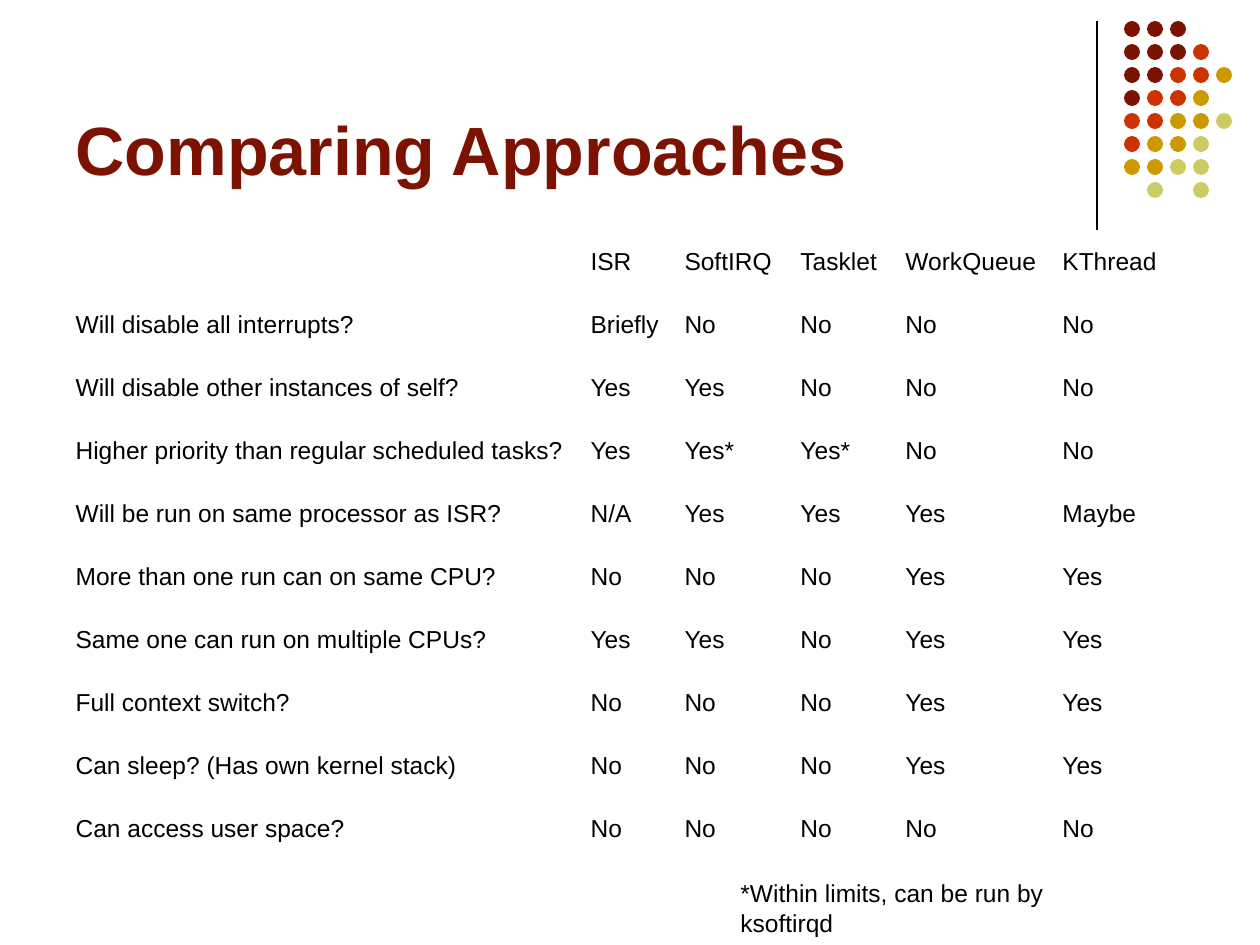
from lxml.etree import SubElement
from pptx import Presentation
from pptx.dml.color import RGBColor
from pptx.enum.shapes import MSO_CONNECTOR as CONN, MSO_SHAPE as SHAPE
from pptx.enum.text import MSO_ANCHOR as ANCHOR, MSO_AUTO_SIZE as FIT, PP_ALIGN as ALIGN
from pptx.oxml.ns import qn
from pptx.util import Pt

PX = 914400 / 126
BLACK = RGBColor(0x00, 0x00, 0x00)
MAROON = RGBColor(0x7C, 0x13, 0x02)
RED = RGBColor(0xCC, 0x33, 0x00)
GOLD = RGBColor(0xCC, 0x99, 0x00)
OLIVE = RGBColor(0xCC, 0xCC, 0x66)

DOT_COLORS = {"M": MAROON, "R": RED, "G": GOLD, "O": OLIVE}
DOT_ROWS = ["MMM", "MMMR", "MMRRG", "MRRG", "RRGGO", "RGGO", "GGOO", " O O"]

COL_WIDTHS = [515, 94, 116, 105, 157, 126]
ROWS = [
    ["", "ISR", "SoftIRQ", "Tasklet", "WorkQueue", "KThread"],
    ["Will disable all interrupts?", "Briefly", "No", "No", "No", "No"],
    ["Will disable other instances of self?", "Yes", "Yes", "No", "No", "No"],
    ["Higher priority than regular scheduled tasks?", "Yes", "Yes*", "Yes*", "No", "No"],
    ["Will be run on same processor as ISR?", "N/A", "Yes", "Yes", "Yes", "Maybe"],
    ["More than one run can on same CPU?", "No", "No", "No", "Yes", "Yes"],
    ["Same one can run on multiple CPUs?", "Yes", "Yes", "No", "Yes", "Yes"],
    ["Full context switch?", "No", "No", "No", "Yes", "Yes"],
    ["Can sleep? (Has own kernel stack)", "No", "No", "No", "Yes", "Yes"],
    ["Can access user space?", "No", "No", "No", "No", "No"],
]


def px(*values):
    return [round(v * PX) for v in values]


class Deck:
    font = "Arial"
    body_size = 14
    title_size = 39

    def __init__(self, width, height):
        self.prs = Presentation()
        self.prs.slide_width, self.prs.slide_height = px(width, height)

    def add_slide(self):
        self.s = self.prs.slides.add_slide(self.prs.slide_layouts[5])

    def run(self, p, text, size=body_size, color=BLACK, bold=False):
        r = p.add_run()
        r.text = text
        r.font.name = self.font
        r.font.size = Pt(size)
        r.font.bold = bold
        r.font.color.rgb = color

    def title(self, text, x, y, w, h):
        sp = self.s.shapes.title
        sp.left, sp.top, sp.width, sp.height = px(x, y, w, h)
        tf = sp.text_frame
        tf.auto_size = FIT.NONE
        tf.vertical_anchor = ANCHOR.BOTTOM
        p = tf.paragraphs[0]
        p.alignment = ALIGN.LEFT
        self.run(p, text, self.title_size, MAROON, True)

    def line(self, x1, y1, x2, y2):
        sp = self.s.shapes.add_connector(CONN.STRAIGHT, *px(x1, y1, x2, y2))
        sp.line.color.rgb = BLACK
        sp.line.width = Pt(0.75)
        SubElement(sp._element.spPr, qn("a:effectLst"))

    def dots(self, rows, x, y, size, step):
        group = self.s.shapes.add_group_shape()
        for i, row in enumerate(rows):
            for j, key in enumerate(row):
                if key in DOT_COLORS:
                    sp = group.shapes.add_shape(
                        SHAPE.OVAL, *px(x + j * step, y + i * step, size, size))
                    sp.shadow.inherit = False
                    sp.fill.solid()
                    sp.fill.fore_color.rgb = DOT_COLORS[key]
                    sp.line.fill.background()

    def table(self, rows, widths, x, y, row_height):
        box = px(x, y, sum(widths), row_height * len(rows))
        table = self.s.shapes.add_table(len(rows), len(widths), *box).table
        table.first_row = table.horz_banding = False
        for col, width in zip(table.columns, px(*widths)):
            col.width = width
        for i, row in enumerate(rows):
            for j, text in enumerate(row):
                cell = table.cell(i, j)
                cell.fill.background()
                cell.vertical_anchor = ANCHOR.MIDDLE
                if text:
                    p = cell.text_frame.paragraphs[0]
                    p.line_spacing = 0.93
                    p.space_before = Pt(3.5)
                    self.run(p, text)

    def text(self, text, x, y, w, h):
        tf = self.s.shapes.add_textbox(*px(x, y, w, h)).text_frame
        tf.word_wrap = False
        tf.auto_size = FIT.SHAPE_TO_FIT_TEXT
        self.run(tf.paragraphs[0], text)


def main():
    deck = Deck(1260, 945)
    deck.add_slide()
    deck.line(1097, 21, 1097, 231)
    deck.dots(DOT_ROWS, x=1124, y=21, size=16, step=23)
    deck.title("Comparing Approaches", 63, 16, 1040, 179)
    deck.table(ROWS, COL_WIDTHS, x=63, y=231, row_height=63)
    deck.text("*Within limits, can be run by ksoftirqd", 728, 872, 427, 43)
    deck.prs.save("out.pptx")


if __name__ == "__main__":
    main()
